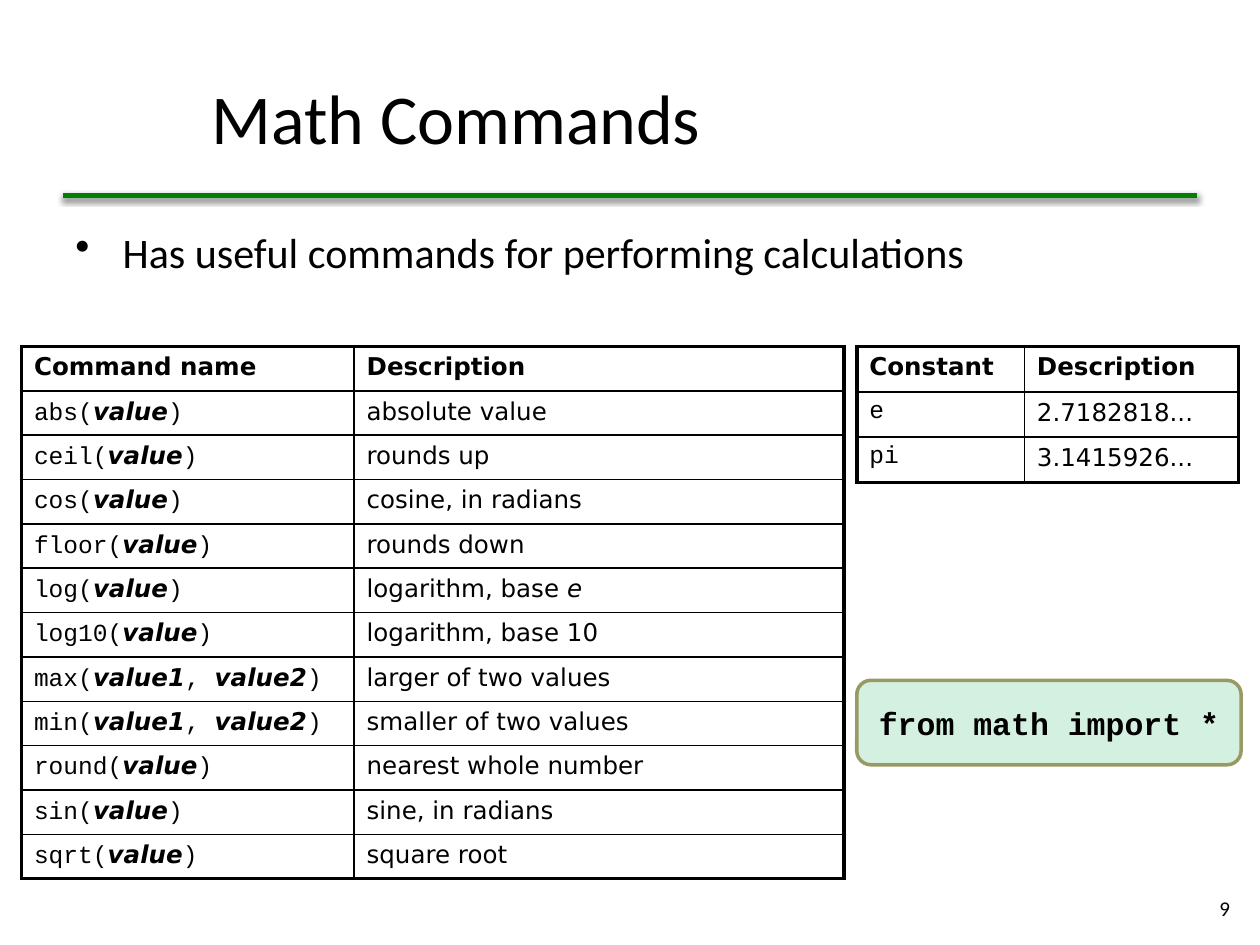
"""Build the Math Commands slide with its two reference tables."""
from dataclasses import dataclass
from typing import Any

import lxml.etree
import pptx
import pptx.dml.color
import pptx.enum.shapes
import pptx.enum.text
import pptx.oxml
import pptx.oxml.ns
import pptx.util

COLUMNS, ROWS = 100, 75
ALIGN = pptx.enum.text.PP_ALIGN
ANCHOR = pptx.enum.text.MSO_ANCHOR


@dataclass(frozen=True)
class Theme:
    ink: str = "000000"
    rule: str = "008000"
    code_fill: str = "D4F0E1"
    code_line: str = "999966"
    text_font: str = "Calibri"
    table_font: str = "DejaVu Sans"
    code_font: str = "Courier New"
    title_size: int = 40
    body_size: int = 24
    code_size: int = 18
    table_size: int = 14
    number_size: int = 12
    rule_width: float = 3
    code_line_width: float = 2
    outer_border: float = 2.25
    inner_border: float = 1


@dataclass(frozen=True)
class Area:
    left: float
    top: float
    width: float
    height: float


@dataclass(frozen=True)
class ReferenceTable:
    left: float
    top: float
    column_widths: tuple[float, ...]
    row_height: float
    rows: tuple[tuple[str, str], ...]


THEME = Theme()
TITLE_AREA = Area(15.8, 3, 82.7, 12.5)
RULE_AREA = Area(5, 15.5, 90, 0)
BODY_AREA = Area(5, 17.5, 90, 8)
CODE_AREA = Area(68, 54, 30.5, 6.7)
NUMBER_AREA = Area(94.6, 70.1, 4, 4)

COMMANDS = ReferenceTable(1.7, 27.5, (26.4, 38.9), 3.52, (
    ("Command name", "Description"),
    ("abs(|value|)", "absolute value"),
    ("ceil(|value|)", "rounds up"),
    ("cos(|value|)", "cosine, in radians"),
    ("floor(|value|)", "rounds down"),
    ("log(|value|)", "logarithm, base |e|"),
    ("log10(|value|)", "logarithm, base 10"),
    ("max(|value1|, |value2|)", "larger of two values"),
    ("min(|value1|, |value2|)", "smaller of two values"),
    ("round(|value|)", "nearest whole number"),
    ("sin(|value|)", "sine, in radians"),
    ("sqrt(|value|)", "square root"),
))
CONSTANTS = ReferenceTable(68, 27.5, (13.3, 17), 3.6, (
    ("Constant", "Description"),
    ("e", "2.7182818..."),
    ("pi", "3.1415926..."),
))


class Canvas:
    """A slide measured in grid columns and rows."""

    def __init__(self, deck: Any) -> None:
        self.slide = deck.slides.add_slide(deck.slide_layouts[5])
        self.column = deck.slide_width / COLUMNS
        self.row = deck.slide_height / ROWS

    def across(self, count: float) -> int:
        return round(count * self.column)

    def down(self, count: float) -> int:
        return round(count * self.row)

    def place(self, area: Area) -> tuple[int, int, int, int]:
        return (self.across(area.left), self.down(area.top),
                self.across(area.width), self.down(area.height))


def rgb(value: str) -> pptx.dml.color.RGBColor:
    return pptx.dml.color.RGBColor.from_string(value)


def style_run(run: Any, size: float, font: str, bold: bool = False, italic: bool = False) -> None:
    run.font.size = pptx.util.Pt(size)
    run.font.name = font
    run.font.bold = bold
    run.font.italic = italic
    run.font.color.rgb = rgb(THEME.ink)


def write(shape: Any, text: str, size: float, font: str, align: Any,
          anchor: Any = ANCHOR.MIDDLE, bold: bool = False) -> Any:
    frame = shape.text_frame
    frame.text = text
    frame.word_wrap = True
    frame.vertical_anchor = anchor
    paragraph = frame.paragraphs[0]
    paragraph.alignment = align
    style_run(paragraph.runs[0], size, font, bold)
    return paragraph


def draw_title(canvas: Canvas, text: str) -> None:
    title = canvas.slide.shapes.title
    title.left, title.top, title.width, title.height = canvas.place(TITLE_AREA)
    write(title, text, THEME.title_size, THEME.text_font, ALIGN.LEFT)


def draw_rule(canvas: Canvas) -> None:
    left, top, width, height = canvas.place(RULE_AREA)
    rule = canvas.slide.shapes.add_connector(
        pptx.enum.shapes.MSO_CONNECTOR.STRAIGHT, left, top, left + width, top + height)
    rule.line.color.rgb = rgb(THEME.rule)
    rule.line.width = pptx.util.Pt(THEME.rule_width)
    rule._element.spPr.append(pptx.oxml.parse_xml(
        f'<a:effectLst {pptx.oxml.ns.nsdecls("a")}>'
        '<a:outerShdw blurRad="40000" dist="20000" dir="5400000" rotWithShape="0">'
        f'<a:srgbClr val="{THEME.ink}"><a:alpha val="60000"/></a:srgbClr>'
        '</a:outerShdw></a:effectLst>'))


def draw_bullet(canvas: Canvas, text: str) -> None:
    body = canvas.slide.shapes.add_textbox(*canvas.place(BODY_AREA))
    paragraph = write(body, text, THEME.body_size, THEME.text_font, ALIGN.LEFT, ANCHOR.TOP)
    paragraph.space_after = pptx.util.Pt(6)
    properties = paragraph._p.get_or_add_pPr()
    indent = canvas.across(3.75)
    properties.set("marL", str(indent))
    properties.set("indent", str(-indent))
    bullet = lxml.etree.SubElement(properties, pptx.oxml.ns.qn("a:buChar"))
    bullet.set("char", "•")


def set_border(cell: Any, side: str, width: float) -> None:
    cell._tc.get_or_add_tcPr().append(pptx.oxml.parse_xml(
        f'<a:ln{side} {pptx.oxml.ns.nsdecls("a")} w="{pptx.util.Pt(width)}">'
        f'<a:solidFill><a:srgbClr val="{THEME.ink}"/></a:solidFill></a:ln{side}>'))


def fill_cell(cell: Any, text: str, header: bool, code: bool) -> None:
    paragraph = cell.text_frame.paragraphs[0]
    for index, part in enumerate(text.split("|")):
        if part:
            argument = index % 2 == 1
            run = paragraph.add_run()
            run.text = part
            font = THEME.code_font if code and not argument else THEME.table_font
            style_run(run, THEME.table_size, font, header or (code and argument), argument)


def draw_table(canvas: Canvas, spec: ReferenceTable) -> None:
    area = Area(spec.left, spec.top, sum(spec.column_widths), spec.row_height * len(spec.rows))
    last_row, last_column = len(spec.rows) - 1, len(spec.column_widths) - 1
    table = canvas.slide.shapes.add_table(
        last_row + 1, last_column + 1, *canvas.place(area)).table
    table.first_row = table.horz_banding = False
    for column, width in zip(table.columns, spec.column_widths):
        column.width = canvas.across(width)
    for r, entries in enumerate(spec.rows):
        table.rows[r].height = canvas.down(spec.row_height)
        for c, text in enumerate(entries):
            cell = table.cell(r, c)
            fill_cell(cell, text, header=r == 0, code=r > 0 and c == 0)
            outer_sides = {"L": c == 0, "R": c == last_column, "T": r == 0, "B": r == last_row}
            for side, outer in outer_sides.items():
                set_border(cell, side, THEME.outer_border if outer else THEME.inner_border)
            cell.fill.background()


def draw_code(canvas: Canvas, text: str) -> None:
    code = canvas.slide.shapes.add_shape(
        pptx.enum.shapes.MSO_SHAPE.ROUNDED_RECTANGLE, *canvas.place(CODE_AREA))
    code.shadow.inherit = False
    code.fill.solid()
    code.fill.fore_color.rgb = rgb(THEME.code_fill)
    code.line.color.rgb = rgb(THEME.code_line)
    code.line.width = pptx.util.Pt(THEME.code_line_width)
    write(code, text, THEME.code_size, THEME.code_font, ALIGN.CENTER, bold=True)


def main() -> None:
    deck = pptx.Presentation()
    deck.slide_width, deck.slide_height = pptx.util.Inches(10), pptx.util.Inches(7.5)
    canvas = Canvas(deck)
    draw_title(canvas, "Math Commands")
    draw_rule(canvas)
    draw_bullet(canvas, "Has useful commands for performing calculations")
    for spec in (COMMANDS, CONSTANTS):
        draw_table(canvas, spec)
    draw_code(canvas, "from math import *")
    number = canvas.slide.shapes.add_textbox(*canvas.place(NUMBER_AREA))
    write(number, "9", THEME.number_size, THEME.text_font, ALIGN.RIGHT)
    deck.save("out.pptx")


if __name__ == "__main__":
    main()
